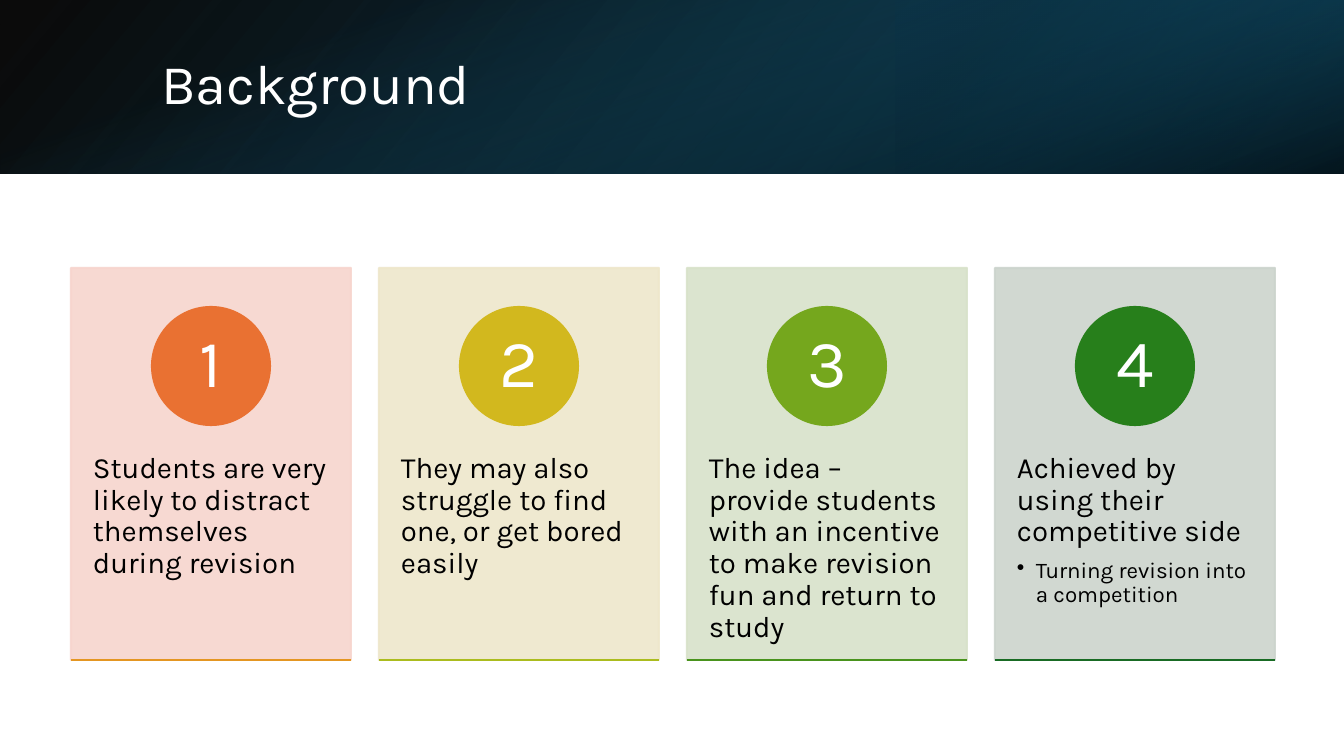
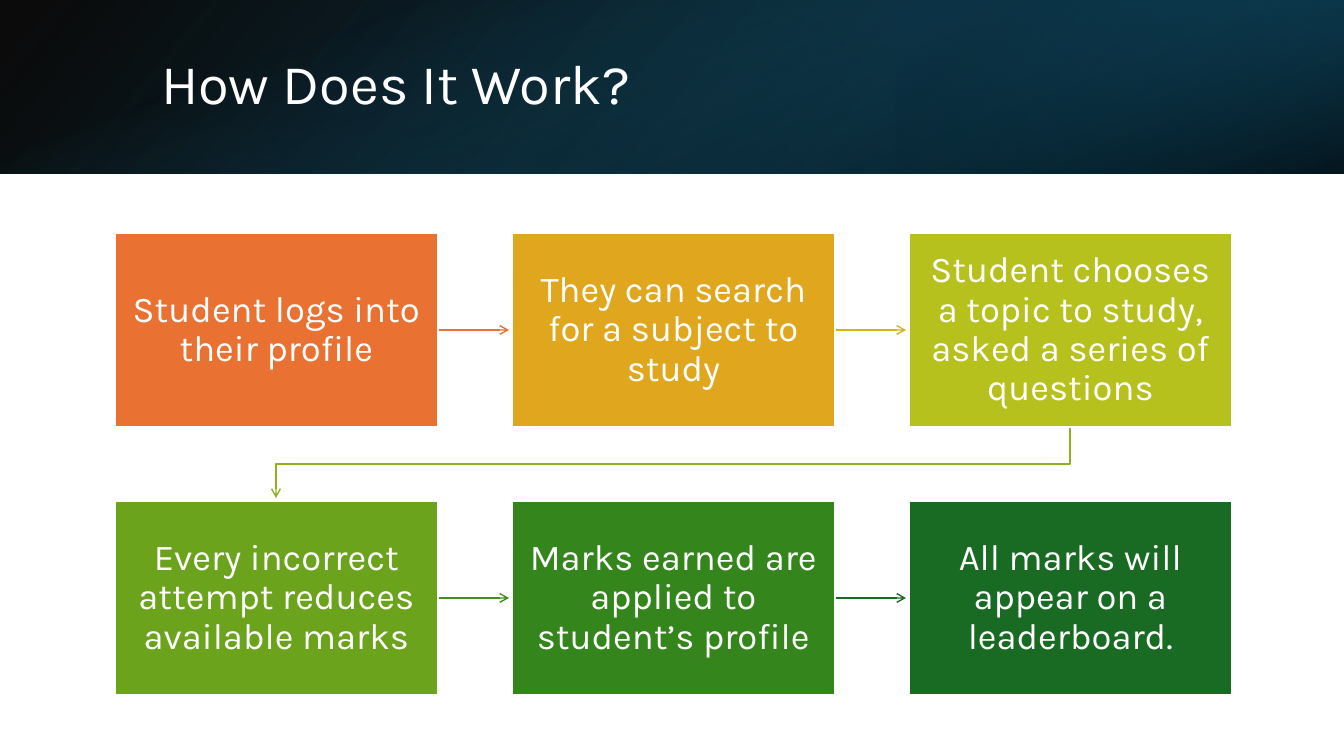
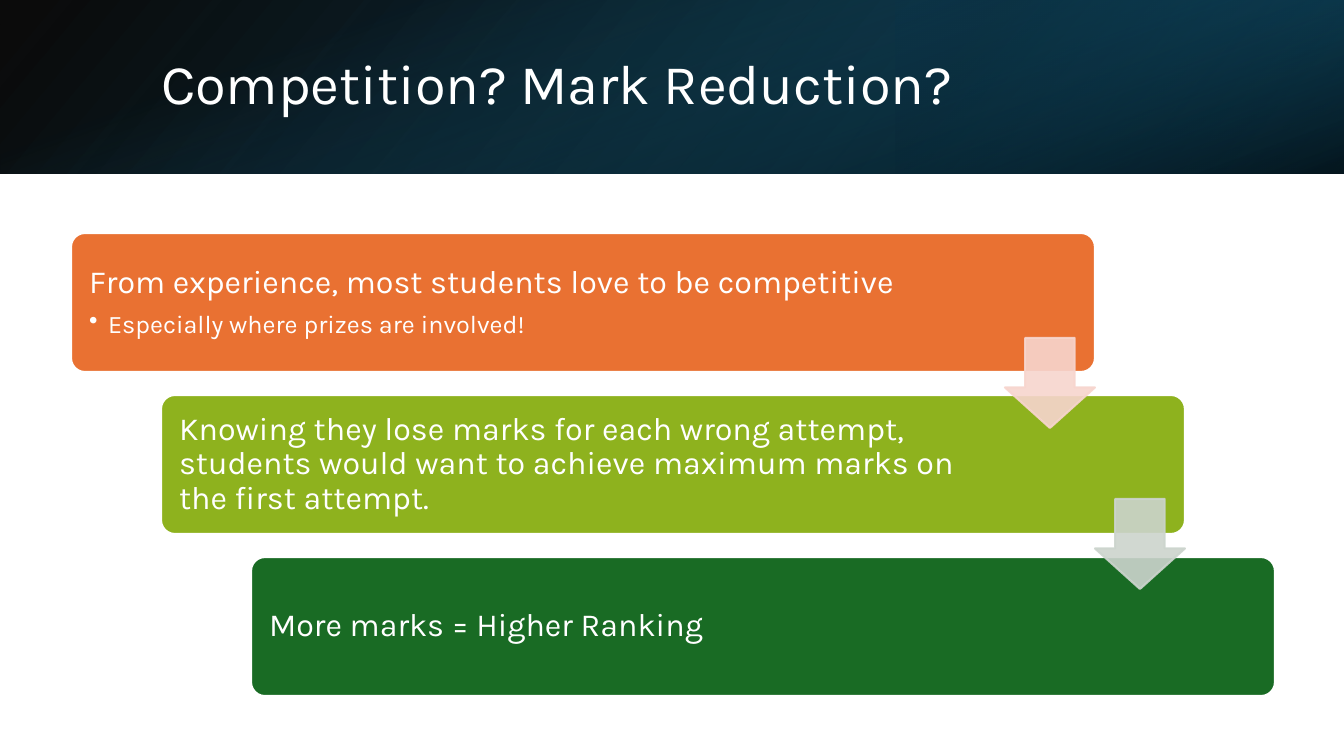
"""Build three slides about a competitive revision service."""
import pptx
import pptx.util
import pptx.dml.color
import pptx.enum.shapes
import pptx.enum.text
import pptx.oxml
import pptx.oxml.ns
import lxml.etree

RGB = pptx.dml.color.RGBColor
SHAPE = pptx.enum.shapes.MSO_SHAPE
ALIGN = pptx.enum.text.PP_ALIGN
ANCHOR = pptx.enum.text.MSO_ANCHOR
qn = pptx.oxml.ns.qn

SLIDE_WIDTH, SLIDE_HEIGHT, BAND_HEIGHT = 1344, 756, 174
EMU_PER_PX = 12192000 / SLIDE_WIDTH
FONT = "Karla"

BLACK = RGB(0x00, 0x00, 0x00)
WHITE = RGB(0xFF, 0xFF, 0xFF)
NAVY = RGB(0x0B, 0x30, 0x41)
DEEP_TEAL = RGB(0x10, 0x48, 0x62)
TEAL = RGB(0x15, 0x60, 0x82)
ORANGE = RGB(0xE9, 0x71, 0x32)
AMBER = RGB(0xE4, 0x96, 0x22)
GOLD = RGB(0xE0, 0xA6, 0x1D)
DARK_GOLD = RGB(0xD8, 0xB1, 0x1D)
MUSTARD = RGB(0xD2, 0xB8, 0x1E)
LIME = RGB(0xB7, 0xC1, 0x1E)
OLIVE_LIME = RGB(0xAB, 0xBC, 0x1E)
APPLE = RGB(0x8E, 0xB2, 0x1E)
LEAF = RGB(0x75, 0xA7, 0x1D)
GRASS = RGB(0x6B, 0xA3, 0x1D)
FERN = RGB(0x49, 0x93, 0x1D)
MOSS = RGB(0x40, 0x8E, 0x1C)
GREEN = RGB(0x34, 0x86, 0x1C)
EMERALD = RGB(0x27, 0x7F, 0x1B)
FOREST = RGB(0x19, 0x6B, 0x24)
PALE_RED = RGB(0xF7, 0xD5, 0xCE)
PALE_GOLD = RGB(0xEE, 0xE7, 0xCB)
PALE_GREEN = RGB(0xD8, 0xE2, 0xCA)
PALE_GREY = RGB(0xCC, 0xD4, 0xCD)

CARDS = [
    (PALE_RED, ORANGE, AMBER,
     ["Students are very likely to distract themselves during revision"]),
    (PALE_GOLD, MUSTARD, OLIVE_LIME,
     ["They may also struggle to find one, or get bored easily"]),
    (PALE_GREEN, LEAF, FERN,
     ["The idea – provide students with an incentive to make revision fun "
      "and return to study"]),
    (PALE_GREY, EMERALD, FOREST,
     ["Achieved by using their competitive side",
      "Turning revision into a competition"]),
]
STEPS = [
    (ORANGE, ORANGE, "Student logs into their profile"),
    (GOLD, DARK_GOLD, "They can search for a subject to study"),
    (LIME, APPLE, "Student chooses a topic to study, asked a series of questions"),
    (GRASS, MOSS, "Every incorrect attempt reduces available marks"),
    (GREEN, FOREST, "Marks earned are applied to student’s profile"),
    (FOREST, None, "All marks will appear on a leaderboard."),
]
REASONS = [
    (ORANGE, ["From experience, most students love to be competitive",
              "Especially where prizes are involved!"]),
    (APPLE, ["Knowing they lose marks for each wrong attempt, students would "
             "want to achieve maximum marks on the first attempt."]),
    (FOREST, ["More marks = Higher Ranking"]),
]


def px(length):
    """Turn pixels into EMU."""
    return pptx.util.Emu(round(length * EMU_PER_PX))


def add_shape(slide, kind, left, top, width, height):
    """Add a preset shape without shadow."""
    shape = slide.shapes.add_shape(kind, px(left), px(top), px(width), px(height))
    shape.shadow.inherit = False
    return shape


def add_panel(slide, kind, place, fill, line, opacity=100):
    """Add a filled, outlined shape, see-through when opacity is below 100."""
    shape = add_shape(slide, kind, *place)
    shape.fill.solid()
    shape.fill.fore_color.rgb = fill
    shape.line.color.rgb = line
    shape.line.width = pptx.util.Pt(1.5)
    if opacity < 100:
        for color in shape.element.spPr.iter(qn("a:srgbClr")):
            lxml.etree.SubElement(color, qn("a:alpha"), val=str(opacity * 1000))
    return shape


def add_gradient(slide, place, stops, angle, rotation=0, flip=False):
    """Add a band with a linear gradient of (position, colour, opacity) stops."""
    band = add_shape(slide, SHAPE.RECTANGLE, *place)
    band.rotation = rotation
    band.line.fill.background()
    properties = band.element.spPr
    if flip:
        properties.find(qn("a:xfrm")).set("flipH", "1")
    stop_xml = "".join(
        f'<a:gs pos="{position * 1000}"><a:srgbClr val="{color}">'
        f'<a:alpha val="{opacity * 1000}"/></a:srgbClr></a:gs>'
        for position, color, opacity in stops)
    gradient = pptx.oxml.parse_xml(
        f'<a:gradFill {pptx.oxml.ns.nsdecls("a")} rotWithShape="1">'
        f'<a:gsLst>{stop_xml}</a:gsLst>'
        f'<a:lin ang="{angle * 60000}" scaled="0"/></a:gradFill>')
    properties.find(qn("a:prstGeom")).addnext(gradient)


def style_paragraph(para, size, color, align):
    """Set the look of a whole paragraph."""
    para.alignment = align
    para.line_spacing = 0.9
    para.font.name = FONT
    para.font.size = pptx.util.Pt(size)
    para.font.color.rgb = color


def add_bullet(para):
    """Give a paragraph a hanging bullet and a gap above."""
    para.space_before = pptx.util.Pt(8)
    properties = para._p.get_or_add_pPr()
    properties.set("marL", str(px(19)))
    properties.set("indent", str(-px(19)))
    lxml.etree.SubElement(properties, qn("a:buChar"), char="•")


def write_text(shape, lines, sizes, color, insets, align=ALIGN.LEFT,
               anchor=ANCHOR.MIDDLE):
    """Write a lead line and bullets below it; insets go left, top, right, bottom."""
    frame = shape.text_frame
    frame.word_wrap = True
    frame.vertical_anchor = anchor
    (frame.margin_left, frame.margin_top,
     frame.margin_right, frame.margin_bottom) = map(px, insets)
    for index, line in enumerate(lines):
        para = frame.add_paragraph() if index else frame.paragraphs[0]
        para.text = line
        if index:
            add_bullet(para)
        style_paragraph(para, sizes[min(index, 1)], color, align)


def add_slide(deck, title):
    """Add a slide with the shared header bands and its title."""
    slide = deck.slides.add_slide(deck.slide_layouts[5])
    add_gradient(slide, (0, 0, SLIDE_WIDTH, BAND_HEIGHT),
                 [(0, BLACK, 96), (100, DEEP_TEAL, 100)], 140, flip=True)
    add_gradient(slide, (896, 0, 448, BAND_HEIGHT),
                 [(19, NAVY, 68), (100, TEAL, 79)], 320, rotation=180, flip=True)
    offset = (SLIDE_WIDTH - BAND_HEIGHT) // 2
    add_gradient(slide, (offset, -offset, BAND_HEIGHT, SLIDE_WIDTH),
                 [(23, TEAL, 0), (99, BLACK, 74)], 340, rotation=90)
    box = slide.shapes.title
    box.left, box.top, box.width, box.height = map(px, (151, 38, 1107, 97))
    write_text(box, [title], [40], WHITE, (10, 5, 10, 5))
    box.text_frame.auto_size = pptx.enum.text.MSO_AUTO_SIZE.NONE
    slide.shapes.element.append(box.element)
    return slide


def style_line(line_shape, color, width, arrow=True):
    """Colour a line, drop its shadow and give it an arrowhead if wanted."""
    line_shape.line.color.rgb = color
    line_shape.line.width = pptx.util.Pt(width)
    properties = line_shape.element.spPr
    if arrow:
        line = properties.find(qn("a:ln"))
        lxml.etree.SubElement(line, qn("a:tailEnd"), type="arrow")
    if properties.find(qn("a:effectLst")) is None:
        lxml.etree.SubElement(properties, qn("a:effectLst"))


def add_line(slide, start, end, color, width, arrow=True):
    """Add a straight line between two points."""
    line = slide.shapes.add_connector(
        pptx.enum.shapes.MSO_CONNECTOR.STRAIGHT, *map(px, (*start, *end)))
    style_line(line, color, width, arrow)


def add_bent_arrow(slide, points, color):
    """Add an open outline through the points that ends in an arrowhead."""
    corners = [(px(x), px(y)) for x, y in points]
    builder = slide.shapes.build_freeform(*corners[0])
    builder.add_line_segments(corners[1:], close=False)
    bent = builder.convert_to_shape()
    bent.shadow.inherit = False
    bent.fill.background()
    style_line(bent, color, 1)


def build_background(deck):
    """Draw the row of numbered cards."""
    slide = add_slide(deck, "Background")
    top, width, height, circle = 268, 280, 392, 118
    for index, (pale, strong, edge, lines) in enumerate(CARDS):
        left = 71 + 308 * index
        card = add_panel(slide, SHAPE.RECTANGLE, (left, top, width, height),
                         pale, pale, 90)
        write_text(card, lines, [21, 16], BLACK, (22, 185, 22, 0),
                   anchor=ANCHOR.TOP)
        badge = add_panel(
            slide, SHAPE.OVAL,
            (left + (width - circle) // 2, top + 39, circle, circle),
            strong, strong)
        write_text(badge, [str(index + 1)], [48], WHITE, (0, 0, 0, 0),
                   ALIGN.CENTER)
        bottom = top + height
        add_line(slide, (left, bottom), (left + width, bottom), edge, 1.5, False)


def build_process(deck):
    """Draw the two rows of steps joined by arrows."""
    slide = add_slide(deck, "How Does It Work?")
    columns, width, height = 3, 323, 194
    places = [(115 + 397 * (index % columns), 233 + 268 * (index // columns))
              for index in range(len(STEPS))]
    for index, (_, color, _) in enumerate(STEPS[:-1]):
        left, top = places[index]
        if index % columns < columns - 1:
            start = left + width
            middle = top + height // 2
            add_line(slide, (start, middle), (start + 71, middle), color, 1)
        else:
            next_left, next_top = places[index + 1]
            start, end = left + width // 2, next_left + width // 2
            bottom = top + height
            turn = (bottom + next_top) // 2
            add_bent_arrow(slide, [(start, bottom), (start, turn), (end, turn),
                                   (end, next_top - 3)], color)
    for (left, top), (fill, _, text) in zip(places, STEPS):
        box = add_panel(slide, SHAPE.RECTANGLE, (left, top, width, height),
                        fill, WHITE)
        write_text(box, [text], [26], WHITE, (16, 16, 16, 16), ALIGN.CENTER)


def build_reasons(deck):
    """Draw the staircase of bars with arrows between them."""
    slide = add_slide(deck, "Competition? Mark Reduction?")
    for index, (fill, lines) in enumerate(REASONS):
        bar = add_panel(slide, SHAPE.ROUNDED_RECTANGLE,
                        (71 + 90 * index, 233 + 162 * index, 1024, 139),
                        fill, WHITE)
        bar.adjustments[0] = 0.1
        write_text(bar, lines, [23, 18], WHITE, (14, 14, 195, 14))
    for index, color in enumerate([PALE_RED, PALE_GREY]):
        arrow = add_panel(slide, SHAPE.DOWN_ARROW,
                          (1005 + 90 * index, 338 + 161 * index, 90, 90),
                          color, color, 90)
        arrow.adjustments[0] = 0.55
        arrow.adjustments[1] = 0.45


def main():
    """Build and save the deck."""
    deck = pptx.Presentation()
    deck.slide_width, deck.slide_height = px(SLIDE_WIDTH), px(SLIDE_HEIGHT)
    build_background(deck)
    build_process(deck)
    build_reasons(deck)
    deck.save("out.pptx")


if __name__ == "__main__":
    main()
